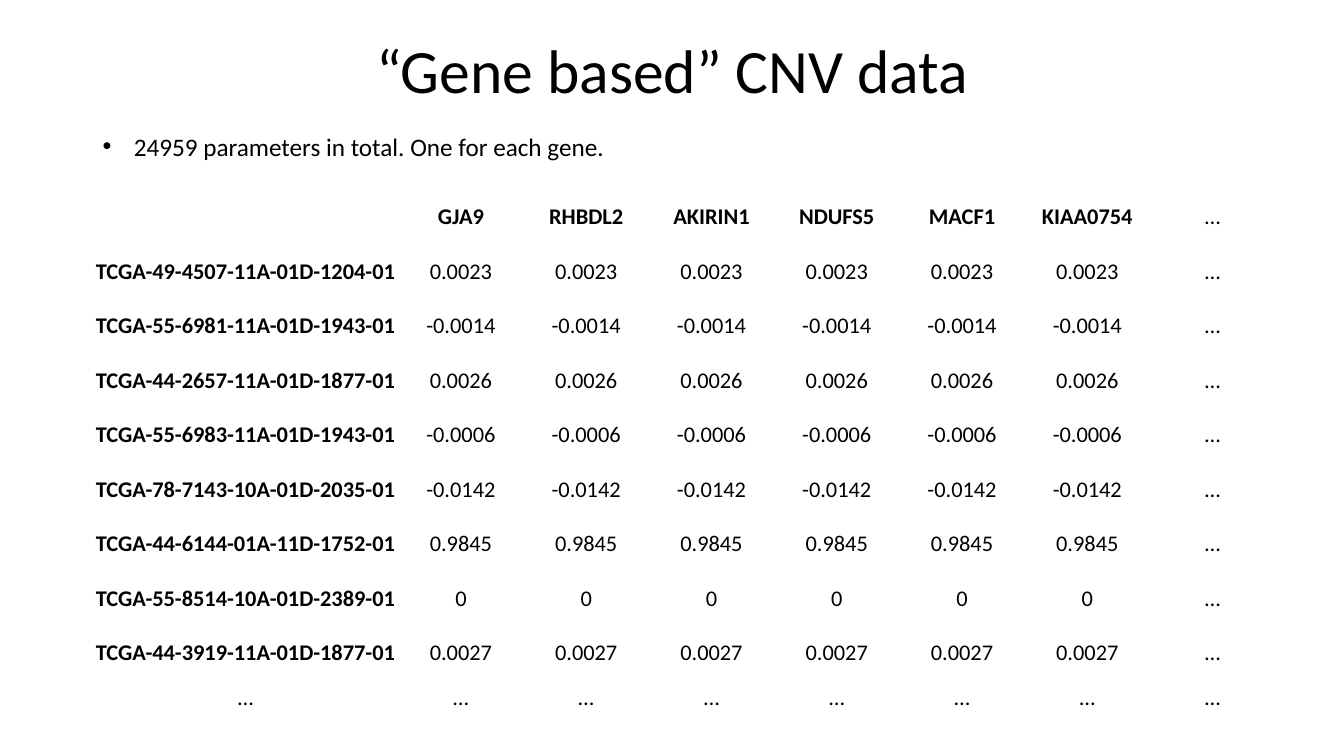
from dataclasses import dataclass

from lxml import etree
from pptx import Presentation
from pptx import util as u
from pptx.dml.color import RGBColor
from pptx.enum import text
from pptx.oxml.ns import qn


@dataclass(frozen=True)
class Theme:
    """Colours, font and type sizes of the deck."""
    ink: RGBColor = RGBColor(0, 0, 0)
    font: str = "Calibri"
    title: int = 44
    body: int = 18
    cell: int = 16


THEME = Theme()
LEFT = 0.92
MORE = "…"
GENES = ["GJA9", "RHBDL2", "AKIRIN1", "NDUFS5", "MACF1", "KIAA0754"]
SAMPLES = {
    "TCGA-49-4507-11A-01D-1204-01": "0.0023",
    "TCGA-55-6981-11A-01D-1943-01": "-0.0014",
    "TCGA-44-2657-11A-01D-1877-01": "0.0026",
    "TCGA-55-6983-11A-01D-1943-01": "-0.0006",
    "TCGA-78-7143-10A-01D-2035-01": "-0.0142",
    "TCGA-44-6144-01A-11D-1752-01": "0.9845",
    "TCGA-55-8514-10A-01D-2389-01": "0",
    "TCGA-44-3919-11A-01D-1877-01": "0.0027",
}


def add_run(p, words, size, bold=False):
    """Add one run in the theme font and colour."""
    r = p.add_run()
    r.text = words
    r.font.name, r.font.size, r.font.bold = THEME.font, u.Pt(size), bold
    r.font.color.rgb = THEME.ink


def add_title(s, box, words):
    """Place and fill the title placeholder."""
    sp = s.shapes.title
    sp.left, sp.top, sp.width, sp.height = map(u.Inches, box)
    tf = sp.text_frame
    tf.auto_size = text.MSO_AUTO_SIZE.NONE
    tf.vertical_anchor = text.MSO_ANCHOR.MIDDLE
    p = tf.paragraphs[0]
    p.alignment, p.line_spacing = text.PP_ALIGN.CENTER, 0.9
    add_run(p, words, THEME.title)


def add_bullet(s, box, words):
    """Add a one-line bulleted remark."""
    tf = s.shapes.add_textbox(*map(u.Inches, box)).text_frame
    tf.word_wrap = False
    tf.auto_size = text.MSO_AUTO_SIZE.SHAPE_TO_FIT_TEXT
    p = tf.paragraphs[0]
    props = p._p.get_or_add_pPr()
    indent = u.Inches(0.31)
    props.set("marL", str(indent))
    props.set("indent", str(-indent))
    etree.SubElement(props, qn("a:buFont")).set("typeface", "Arial")
    etree.SubElement(props, qn("a:buChar")).set("char", "•")
    add_run(p, words, THEME.body)


def fill_cell(cell, words, bold):
    """Fill a plain, centred, bottom-anchored cell."""
    cell.fill.background()
    cell.margin_left = cell.margin_right = cell.margin_top = u.Inches(0.01)
    cell.margin_bottom = 0
    cell.vertical_anchor = text.MSO_ANCHOR.BOTTOM
    if words:
        p = cell.text_frame.paragraphs[0]
        p.alignment = text.PP_ALIGN.CENTER
        add_run(p, words, THEME.cell, bold)


def add_gene_table(s, box, name_width=3.03, edge_height=0.44):
    """Add the table of samples by genes inside the box."""
    rows = [["", *GENES, MORE]]
    rows += [[name, *[value] * len(GENES), MORE] for name, value in SAMPLES.items()]
    rows.append([MORE] * len(rows[0]))
    n_rows, n_cols = len(rows), len(rows[0])
    table = s.shapes.add_table(n_rows, n_cols, *map(u.Inches, box)).table
    table.first_row = table.horz_banding = False
    gene_width = (box[2] - name_width) / (n_cols - 1)
    sample_height = (box[3] - 2 * edge_height) / (n_rows - 2)
    for j, column in enumerate(table.columns):
        column.width = u.Inches(gene_width if j else name_width)
    for i, row in enumerate(rows):
        edge = i in (0, n_rows - 1)
        table.rows[i].height = u.Inches(edge_height if edge else sample_height)
        for j, words in enumerate(row):
            heading = (i == 0 or j == 0) and words != MORE
            fill_cell(table.cell(i, j), words, heading)


def main():
    """Build and save the slide."""
    prs = Presentation()
    prs.slide_width, prs.slide_height = u.Inches(13.33), u.Inches(7.5)
    s = prs.slides.add_slide(prs.slide_layouts[5])
    add_title(s, (LEFT, 0, 11.5, 1.45), "“Gene based” CNV data")
    add_gene_table(s, (LEFT, 1.85, 11.73, 5.21))
    add_bullet(s, (LEFT, 1.25, 5.24, 0.4),
               "24959 parameters in total. One for each gene.")
    prs.save("out.pptx")


if __name__ == "__main__":
    main()
